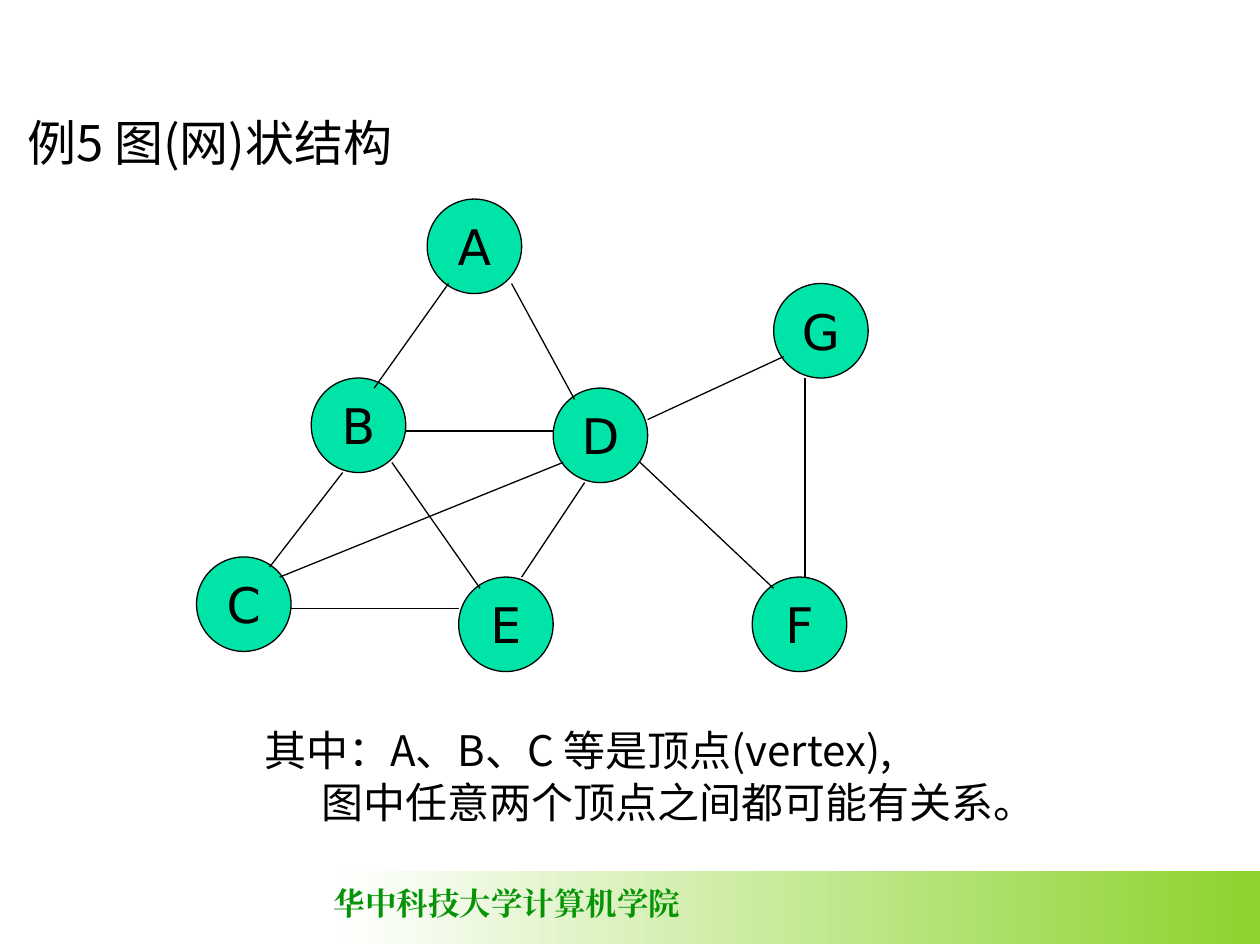
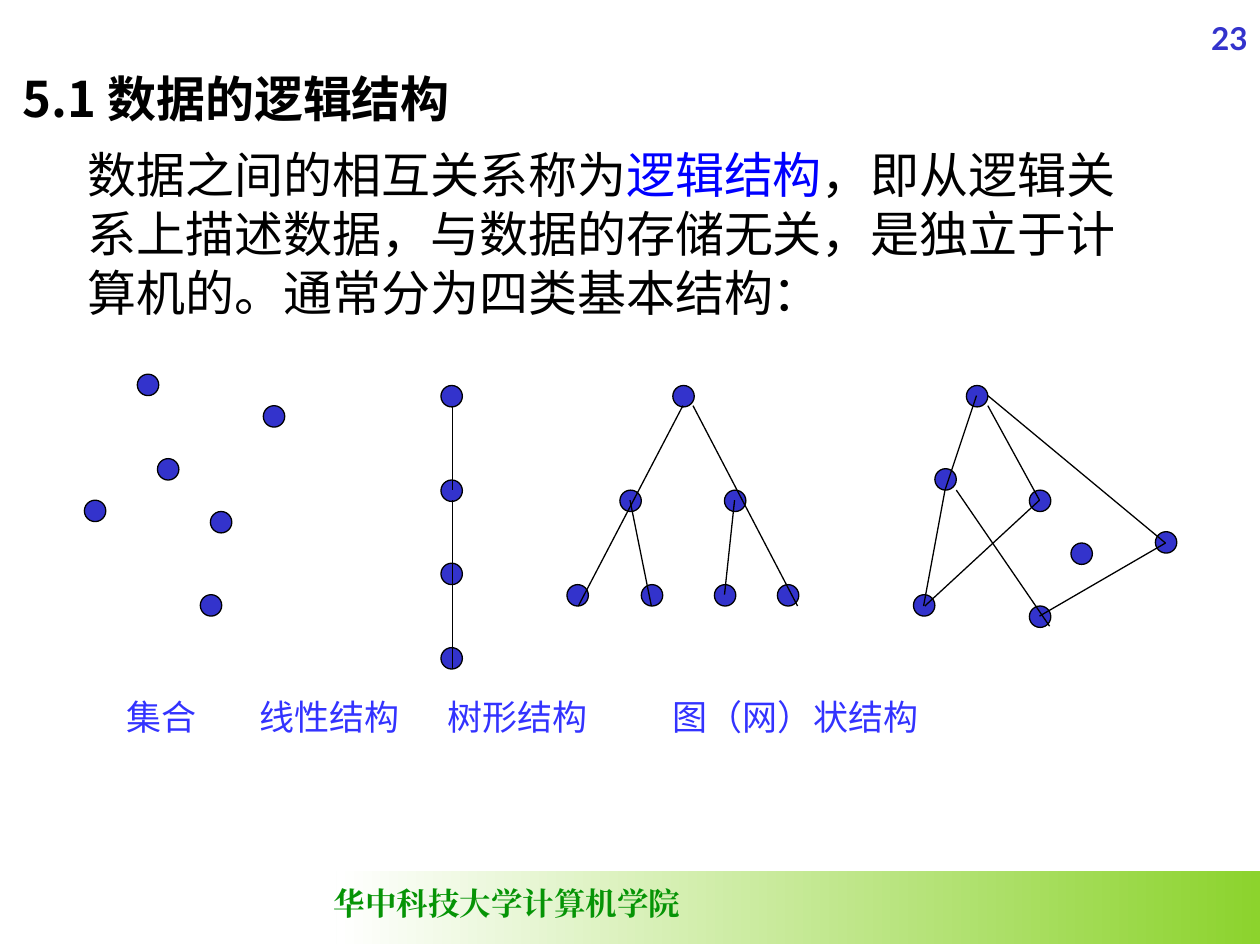
from typing import NamedTuple

from lxml import etree
from pptx import Presentation
from pptx.dml.color import RGBColor
from pptx.enum.shapes import MSO_CONNECTOR, MSO_SHAPE
from pptx.enum.text import MSO_ANCHOR, PP_ALIGN
from pptx.oxml.ns import qn
from pptx.util import Inches, Pt

OVAL, RECTANGLE = MSO_SHAPE.OVAL, MSO_SHAPE.RECTANGLE
STRAIGHT = MSO_CONNECTOR.STRAIGHT
TOP, MIDDLE, BOTTOM = MSO_ANCHOR.TOP, MSO_ANCHOR.MIDDLE, MSO_ANCHOR.BOTTOM
CENTER, RIGHT = PP_ALIGN.CENTER, PP_ALIGN.RIGHT

BLACK, WHITE = "000000", "FFFFFF"
LIME, GREEN, MINT = "8CD32D", "069406", "00E4A8"
INDIGO, BLUE, CAPTION_BLUE = "3333CC", "0000FF", "3333FF"
CJK, LATO, TIMES, DEJAVU = "Noto Sans CJK SC", "Lato", "Times New Roman", "DejaVu Sans"
VERTEX_SIZE, DOT_SIZE = 0.75, 0.17


class Box(NamedTuple):
    left: float
    top: float
    width: float
    height: float

    def lengths(self):
        return [Inches(value) for value in self]


class Style(NamedTuple):
    size: float
    font: str
    color: str = BLACK
    bold: bool = False


class Insets(NamedTuple):
    left: float = 0.1
    top: float = 0.05
    right: float = 0.1
    bottom: float = 0.05


class Vertex(NamedTuple):
    label: str
    left: float
    top: float


class Edge(NamedTuple):
    x1: float
    y1: float
    x2: float
    y2: float


class Structure(NamedTuple):
    dots: list[tuple[float, float]]
    edges: list[Edge]


VERTICES = [
    Vertex("A", 3.39, 1.58), Vertex("B", 2.47, 3), Vertex("D", 4.39, 3.08),
    Vertex("C", 1.56, 4.42), Vertex("E", 3.64, 4.58), Vertex("F", 5.97, 4.58),
    Vertex("G", 6.14, 2.25),
]
VERTEX_EDGES = [
    Edge(3.56, 2.25, 2.97, 3.08), Edge(2.72, 3.75, 2.14, 4.5),
    Edge(4.06, 2.25, 4.56, 3.17), Edge(4.64, 3.83, 4.14, 4.58),
    Edge(2.31, 4.83, 3.64, 4.83), Edge(3.11, 3.67, 3.81, 4.67),
    Edge(3.22, 3.42, 4.39, 3.42), Edge(5.14, 3.33, 6.22, 2.83),
    Edge(6.39, 3, 6.39, 4.58), Edge(5.08, 3.67, 6.14, 4.67),
    Edge(2.22, 4.58, 4.47, 3.67),
]

SET = Structure(
    [(1.09, 2.97), (0.67, 3.97), (1.67, 4.06), (2.09, 3.22), (1.25, 3.64), (1.59, 4.72)],
    [],
)
LINEAR = Structure(
    [(3.5, top) for top in (3.06, 3.81, 4.47, 5.14)],
    [Edge(3.59, 3.22, 3.59, 3.89), Edge(3.59, 3.97, 3.59, 5.31)],
)
TREE = Structure(
    [(5.34, 3.06), (4.92, 3.89), (5.75, 3.89)]
    + [(left, 4.64) for left in (4.5, 5.09, 5.67, 6.17)],
    [Edge(5.42, 3.22, 4.59, 4.81), Edge(5.5, 3.22, 6.33, 4.81),
     Edge(5, 3.97, 5.17, 4.81), Edge(5.83, 3.97, 5.75, 4.72)],
)
NETWORK = Structure(
    [(7.67, 3.06), (7.42, 3.72), (8.17, 3.89), (7.25, 4.72),
     (8.17, 4.81), (9.17, 4.22), (8.5, 4.31)],
    [Edge(7.75, 3.14, 7.5, 3.89), Edge(7.5, 3.89, 7.33, 4.81),
     Edge(7.59, 3.89, 8.33, 4.97), Edge(8.25, 3.97, 7.34, 4.81),
     Edge(7.84, 3.14, 9.25, 4.31), Edge(7.84, 3.22, 8.25, 3.97),
     Edge(8.25, 4.89, 9.25, 4.31)],
)


def rgb(color: str) -> RGBColor:
    return RGBColor.from_string(color)


def format_run(run, style: Style):
    run.font.size = Pt(style.size)
    run.font.bold = style.bold
    run.font.name = style.font
    run.font.color.rgb = rgb(style.color)
    east_asian = etree.SubElement(run.font._element, qn("a:ea"))
    east_asian.set("typeface", style.font)


def set_text(shape, text: str, style: Style, anchor=TOP, align=None,
             insets: Insets = Insets(), wrap: bool = True):
    frame = shape.text_frame
    frame.text = text
    frame.word_wrap = wrap
    frame.vertical_anchor = anchor
    frame.margin_left, frame.margin_top, frame.margin_right, frame.margin_bottom = (
        Inches(value) for value in insets)
    for paragraph in frame.paragraphs:
        paragraph.alignment = align
        for run in paragraph.runs:
            format_run(run, style)
    return frame


def add_text(slide, box: Box, text: str, style: Style, **layout):
    return set_text(slide.shapes.add_textbox(*box.lengths()), text, style, **layout)


def add_circle(slide, left: float, top: float, size: float, color: str):
    circle = slide.shapes.add_shape(OVAL, *Box(left, top, size, size).lengths())
    circle.shadow.inherit = False
    circle.fill.solid()
    circle.fill.fore_color.rgb = rgb(color)
    circle.line.color.rgb = rgb(BLACK)
    circle.line.width = Pt(0.75)
    return circle


def add_edge(slide, edge: Edge):
    line = slide.shapes.add_connector(STRAIGHT, *(Inches(value) for value in edge))
    line.line.color.rgb = rgb(BLACK)
    line.line.width = Pt(0.75)
    etree.SubElement(line._element.spPr, qn("a:effectLst"))


def add_structure(slide, structure: Structure):
    for left, top in structure.dots:
        add_circle(slide, left, top, DOT_SIZE, INDIGO)
    for edge in structure.edges:
        add_edge(slide, edge)


def add_title(slide, box: Box, text: str, left_inset: float = 0.1, bold: bool = False):
    add_text(slide, box, text, Style(28, CJK, bold=bold), anchor=BOTTOM,
             insets=Insets(left=left_inset, bottom=0.01))


def new_slide(deck):
    slide = deck.slides.add_slide(deck.slide_layouts[6])
    # Footer band with the school's name
    band = slide.shapes.add_shape(RECTANGLE, *Box(2.67, 6.91, 7.33, 0.58).lengths())
    band.shadow.inherit = False
    band.line.fill.background()
    band.fill.gradient()
    band.fill.gradient_angle = 180
    for stop, color in zip(band.fill.gradient_stops, (LIME, WHITE)):
        stop.color.rgb = rgb(color)
    add_text(slide, Box(2.55, 6.97, 2.95, 0.4), "华中科技大学计算机学院",
             Style(18, TIMES, GREEN, True), wrap=False)
    return slide


def build_graph_slide(deck):
    slide = new_slide(deck)
    add_title(slide, Box(0.12, 0.52, 5.37, 0.85), "例5 图(网)状结构")

    # Explanation under the graph
    explanation = add_text(
        slide, Box(2, 5.69, 6.38, 0.9),
        "其中：A、B、C 等是顶点(vertex),\n图中任意两个顶点之间都可能有关系。", Style(24, CJK))
    for paragraph in explanation.paragraphs:
        paragraph.line_spacing = Pt(29.5)
    explanation.paragraphs[1]._p.get_or_add_pPr().set("marL", str(Inches(0.45)))

    # Graph
    for vertex in VERTICES:
        circle = add_circle(slide, vertex.left, vertex.top, VERTEX_SIZE, MINT)
        set_text(circle, vertex.label, Style(28, DEJAVU), anchor=MIDDLE,
                 align=CENTER, wrap=False)
    for edge in VERTEX_EDGES:
        add_edge(slide, edge)


def build_structures_slide(deck):
    slide = new_slide(deck)
    add_text(slide, Box(7.92, 0, 2.08, 0.5), "23", Style(18, LATO, INDIGO, True),
             anchor=BOTTOM, align=RIGHT)
    add_title(slide, Box(0, 0.45, 8.93, 0.57), "5.1 数据的逻辑结构", 0.18, bold=True)

    # Definition with its key term in blue
    definition = add_text(slide, Box(0.6, 1.1, 8.5, 5.25), "数据之间的相互关系称为",
                          Style(28, LATO))
    for text, color in (
        ("逻辑结构", BLUE),
        ("，即从逻辑关系上描述数据，与数据的存储无关，是独立于计算机的。"
         "通常分为四类基本结构：", BLACK),
    ):
        run = definition.paragraphs[0].add_run()
        run.text = text
        format_run(run, Style(28, LATO, color))

    # The four basic structures
    for structure in (SET, LINEAR, TREE, NETWORK):
        add_structure(slide, structure)

    # Captions, set apart by tab stops
    captions = add_text(slide, Box(0.73, 5.39, 8.91, 0.57),
                        "集合\t线性结构\t树形结构\t图（网）状结构",
                        Style(20, CJK, CAPTION_BLUE), insets=Insets(left=0.27, top=0.13))
    tab_list = etree.SubElement(captions.paragraphs[0]._p.get_or_add_pPr(), qn("a:tabLst"))
    for position in (1.06, 2.55, 4.34):
        etree.SubElement(tab_list, qn("a:tab"), pos=str(Inches(position)), algn="l")


def main():
    deck = Presentation()
    deck.slide_width, deck.slide_height = Inches(10), Inches(7.5)
    build_graph_slide(deck)
    build_structures_slide(deck)
    deck.save("out.pptx")


if __name__ == "__main__":
    main()
